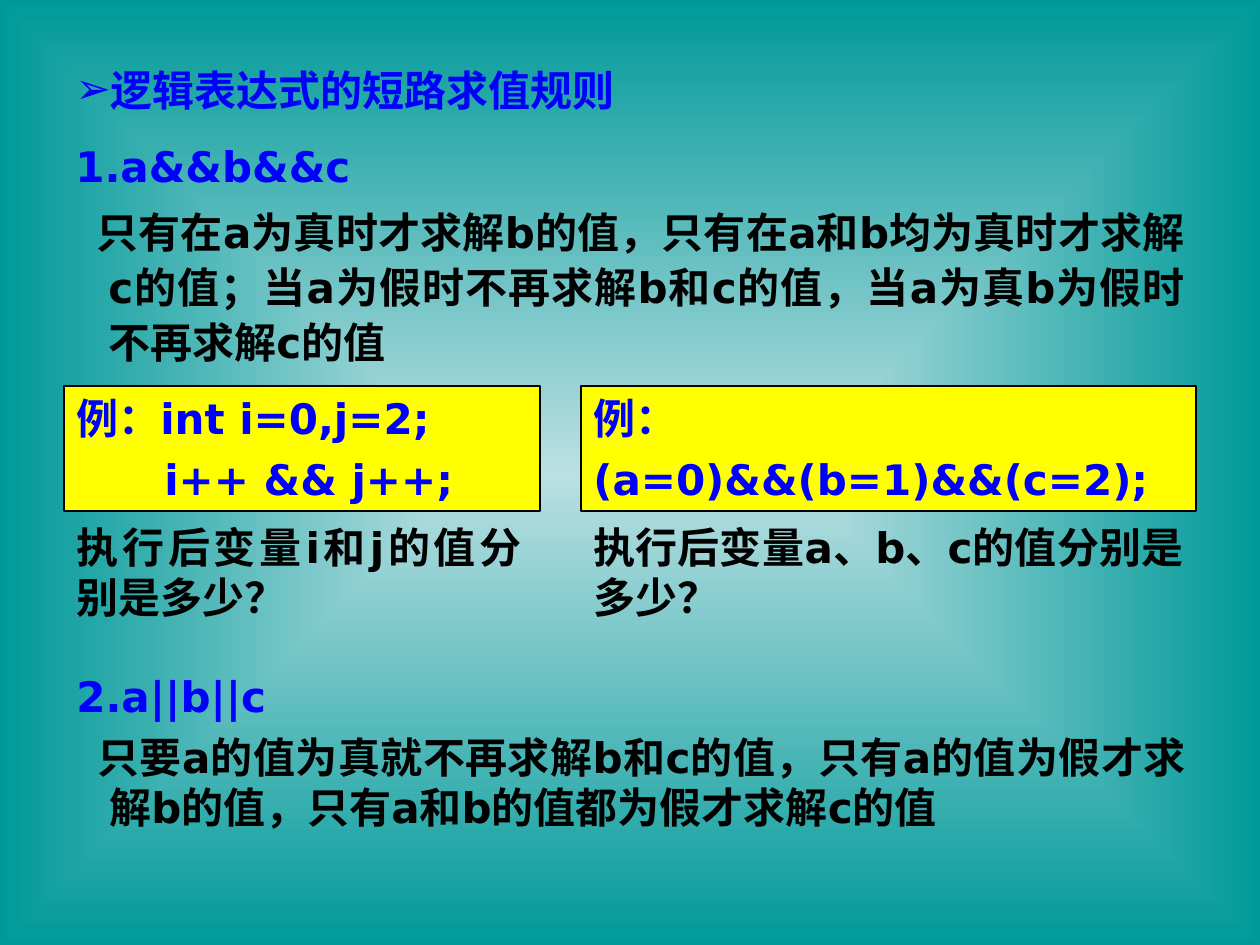
from lxml import etree
from pptx import Presentation
from pptx.dml.color import RGBColor
from pptx.enum.shapes import MSO_SHAPE
from pptx.enum.text import MSO_ANCHOR, PP_ALIGN
from pptx.oxml.ns import qn
from pptx.util import Pt

LEFT, JUSTIFY = PP_ALIGN.LEFT, PP_ALIGN.JUSTIFY
TOP, MIDDLE = MSO_ANCHOR.TOP, MSO_ANCHOR.MIDDLE
RECTANGLE = MSO_SHAPE.RECTANGLE

BLUE = RGBColor(0x00, 0x00, 0xFF)
BLACK = RGBColor(0x00, 0x00, 0x00)
YELLOW = RGBColor(0xFF, 0xFF, 0x00)
CENTER_TEAL = RGBColor(0xBB, 0xE0, 0xE3)
EDGE_TEAL = RGBColor(0x00, 0x99, 0x99)
FONT = "DejaVu Sans"
FONT_SIZE = 24
EMU_PER_PX = 914400 / 126

# Content: each paragraph is (text, colour, alignment, left margin, first-line indent)
HANGING = 33
TITLE = "逻辑表达式的短路求值规则"
TITLE_BOX = (63, 58, 1134, 63)
RULES = [
    ((63, 129, 1134, 244), 1.1, [
        ("1.a&&b&&c", BLUE, LEFT, HANGING, -HANGING),
        ("只有在a为真时才求解b的值，只有在a和b均为真时才求解c的值；"
         "当a为假时不再求解b和c的值，当a为真b为假时不再求解c的值",
         BLACK, JUSTIFY, HANGING, -12),
    ]),
    ((64, 664, 1134, 175), 1.0, [
        ("2.a||b||c", BLUE, LEFT, HANGING, -HANGING),
        ("只要a的值为真就不再求解b和c的值，只有a的值为假才求解b的值，"
         "只有a和b的值都为假才求解c的值",
         BLACK, JUSTIFY, HANGING, -12),
    ]),
]
EXAMPLE_TOP, EXAMPLE_HEIGHT = 386, 125
QUESTION_TOP, QUESTION_HEIGHT = 515, 113
EXAMPLES = [  # left, code width, question width, code lines, question
    (64, 476, 470,
     [("例：int i=0,j=2;", BLUE, LEFT, 0, 0),
      ("i++ && j++;", BLUE, LEFT, 88, 0)],
     "执行后变量i和j的值分别是多少？"),
    (581, 615, 615,
     [("例：", BLUE, LEFT, 0, 0),
      ("(a=0)&&(b=1)&&(c=2);", BLUE, LEFT, 0, 0)],
     "执行后变量a、b、c的值分别是多少？"),
]


def px(value):
    return round(value * EMU_PER_PX)


def format_font(paragraph, color):
    for run in paragraph.runs:
        font = run.font
        font.name, font.size, font.bold = FONT, Pt(FONT_SIZE), True
        font.color.rgb = color


def write_paragraphs(shape, paragraphs, line_spacing=1.0):
    frame = shape.text_frame
    frame.word_wrap = True
    frame.vertical_anchor = TOP
    for index, (text, color, alignment, margin, indent) in enumerate(paragraphs):
        paragraph = frame.add_paragraph() if index else frame.paragraphs[0]
        paragraph.text = text
        paragraph.alignment = alignment
        paragraph.line_spacing = line_spacing
        paragraph.space_before = Pt(6 if index else 0)
        properties = paragraph._p.get_or_add_pPr()
        properties.set("marL", str(px(margin)))
        properties.set("indent", str(px(indent)))
        format_font(paragraph, color)


def add_text(slide, box, paragraphs, line_spacing=1.0):
    shape = slide.shapes.add_textbox(*map(px, box))
    write_paragraphs(shape, paragraphs, line_spacing)


def add_code_box(slide, box, paragraphs):
    shape = slide.shapes.add_shape(RECTANGLE, *map(px, box))
    shape.shadow.inherit = False
    shape.fill.solid()
    shape.fill.fore_color.rgb = YELLOW
    shape.line.color.rgb = BLACK
    shape.line.width = Pt(0.75)
    write_paragraphs(shape, paragraphs)


def paint_background(slide):
    fill = slide.background.fill
    fill.gradient()
    for stop, color in zip(fill.gradient_stops, (CENTER_TEAL, EDGE_TEAL)):
        stop.color.rgb = color
    fill.gradient_stops[0].position = 0
    fill.gradient_stops[1].position = 1
    # Replace the linear direction with a rectangle around the centre
    linear = next(slide.background._cSld.iter(qn("a:lin")))
    gradient = linear.getparent()
    gradient.remove(linear)
    shade = etree.SubElement(gradient, qn("a:path"), path="rect")
    etree.SubElement(shade, qn("a:fillToRect"),
                     {side: "50000" for side in "ltrb"})


def add_title(slide):
    title = slide.shapes.title
    title.left, title.top, title.width, title.height = map(px, TITLE_BOX)
    frame = title.text_frame
    frame.text = TITLE
    frame.vertical_anchor = MIDDLE
    paragraph = frame.paragraphs[0]
    paragraph.alignment = LEFT
    properties = paragraph._p.get_or_add_pPr()
    bullet_color = etree.SubElement(properties, qn("a:buClr"))
    etree.SubElement(bullet_color, qn("a:srgbClr"), val=str(BLUE))
    etree.SubElement(properties, qn("a:buFont"), typeface=FONT)
    etree.SubElement(properties, qn("a:buChar"), char="➢")
    format_font(paragraph, BLUE)


def main():
    presentation = Presentation()
    presentation.slide_width, presentation.slide_height = px(1260), px(945)
    slide = presentation.slides.add_slide(presentation.slide_layouts[5])
    paint_background(slide)
    add_title(slide)

    # Rules for && and ||
    for box, line_spacing, paragraphs in RULES:
        add_text(slide, box, paragraphs, line_spacing)

    # Code examples, each with its question below
    for left, code_width, question_width, code, question in EXAMPLES:
        add_code_box(slide, (left, EXAMPLE_TOP, code_width, EXAMPLE_HEIGHT), code)
        add_text(slide, (left, QUESTION_TOP, question_width, QUESTION_HEIGHT),
                 [(question, BLACK, JUSTIFY, 0, 0)])

    presentation.save("out.pptx")


if __name__ == "__main__":
    main()
